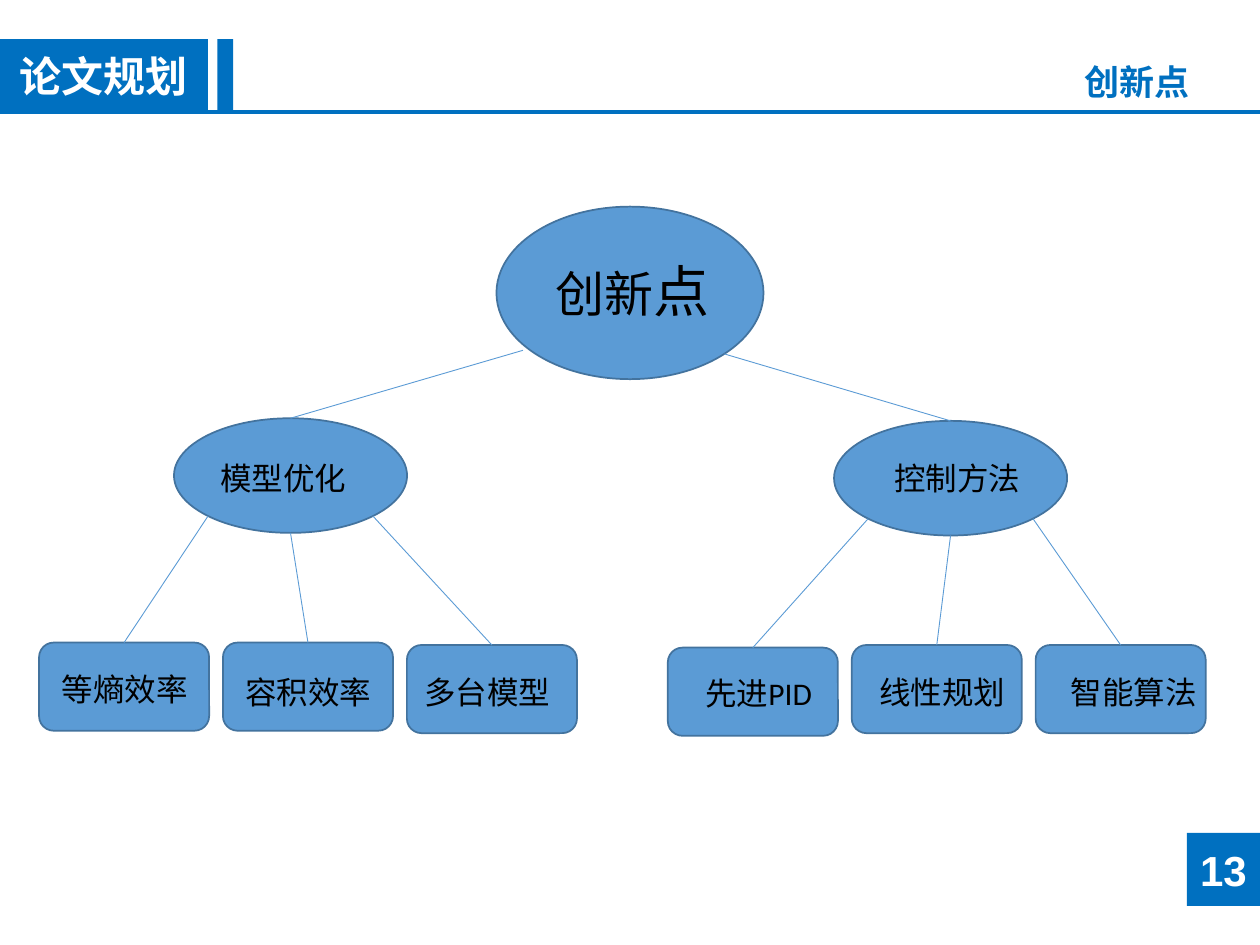
import math
from dataclasses import dataclass

import pptx
import pptx.dml.color
import pptx.enum.shapes
import pptx.enum.text
import pptx.oxml.ns
import pptx.util
from lxml import etree

Pt = pptx.util.Pt
RGB = pptx.dml.color.RGBColor.from_string
SHAPE = pptx.enum.shapes.MSO_SHAPE
ALIGN = pptx.enum.text.PP_ALIGN
ANCHOR = pptx.enum.text.MSO_ANCHOR


@dataclass(frozen=True)
class Theme:
    brand: str = "0070C0"
    node: str = "5B9BD5"
    outline: str = "43739E"
    ink: str = "000000"
    paper: str = "FFFFFF"
    heading_font: str = "Arial"
    body_font: str = "Calibri"
    banner_size: int = 24
    title_size: int = 20
    core_size: int = 28
    core_accent_size: int = 32
    label_size: int = 18


THEME = Theme()
BANNER_TEXT = {"name": THEME.heading_font, "size": Pt(THEME.banner_size), "bold": True}
TITLE_TEXT = {"name": THEME.heading_font, "size": Pt(THEME.title_size), "bold": True}
LABEL_TEXT = {"name": THEME.body_font, "size": Pt(THEME.label_size), "bold": False}

BRANCH_SIZE = (133.2, 65.5)
LEAF_SIZE = (97.2, 50.4)
LEAF_STEP = 105.1
# Each branch: text, node corner, label corner, first leaf's left, leaves
# Each leaf: text, top, label corner
BRANCHES = [
    ("模型优化", (99.4, 239), (118.8, 258.5), 22.3, [
        ("等熵效率", 367.2, (28.1, 379.4)),
        ("容积效率", 367.2, (133.2, 380.9)),
        ("多台模型", 368.6, (235.4, 380.9)),
    ]),
    ("控制方法", (476.6, 240.5), (504, 258.5), 381.6, [
        ("先进PID", 370.1, (396, 381.6)),
        ("线性规划", 368.6, (495.4, 380.9)),
        ("智能算法", 368.6, (604.8, 380.9)),
    ]),
]
CORE = (283.7, 118.1, 152.6, 98.6)
CORE_LEFT_EXIT = (298.8, 200.2)


def write(paragraph, text, text_format, color):
    run = paragraph.add_run()
    run.text = text
    for attribute, value in text_format.items():
        setattr(run.font, attribute, value)
    run.font.color.rgb = RGB(color)


def add_block(slide, kind, box, fill, outline=None):
    block = slide.shapes.add_shape(kind, *map(Pt, box))
    block.shadow.inherit = False
    block.fill.solid()
    block.fill.fore_color.rgb = RGB(fill)
    if outline:
        block.line.color.rgb = RGB(outline)
        block.line.width = Pt(1)
    else:
        block.line.fill.background()
    return block


def add_banner(slide, box, text=""):
    banner = add_block(slide, SHAPE.RECTANGLE, box, THEME.brand)
    if text:
        frame = banner.text_frame
        frame.word_wrap = False
        frame.vertical_anchor = ANCHOR.MIDDLE
        frame.paragraphs[0].alignment = ALIGN.CENTER
        write(frame.paragraphs[0], text, BANNER_TEXT, THEME.paper)


def add_label(slide, box, *pieces):
    frame = slide.shapes.add_textbox(*map(Pt, box)).text_frame
    frame.word_wrap = True
    for text, size in pieces:
        write(frame.paragraphs[0], text, {**LABEL_TEXT, "size": Pt(size)}, THEME.ink)


def add_link(slide, start, end, color=THEME.node, width=0.5):
    link = slide.shapes.add_connector(
        pptx.enum.shapes.MSO_CONNECTOR.STRAIGHT, *map(Pt, (*start, *end)))
    link.line.color.rgb = RGB(color)
    link.line.width = Pt(width)
    etree.SubElement(link._element.spPr, pptx.oxml.ns.qn("a:effectLst"))


def rim_point(box, degrees):
    """Point on an ellipse, measured clockwise from its right end."""
    left, top, width, height = box
    angle = math.radians(degrees)
    return (left + width / 2 * (1 + math.cos(angle)),
            top + height / 2 * (1 + math.sin(angle)))


def top_center(box):
    return box[0] + box[2] / 2, box[1]


def set_title(slide, text):
    title = slide.shapes.title
    box = {"left": 400.3, "top": 31, "width": 286.6, "height": 31.7}
    for attribute, value in box.items():
        setattr(title, attribute, Pt(value))
    frame = title.text_frame
    frame.auto_size = pptx.enum.text.MSO_AUTO_SIZE.NONE
    frame.vertical_anchor = ANCHOR.TOP
    frame.paragraphs[0].alignment = ALIGN.RIGHT
    write(frame.paragraphs[0], text, TITLE_TEXT, THEME.brand)


def add_branch(slide, core_exit, text, corner, label_corner, leaf_left, leaves):
    branch = (*corner, *BRANCH_SIZE)
    add_block(slide, SHAPE.OVAL, branch, THEME.node, THEME.outline)
    add_label(slide, (*label_corner, 96.5, 28.8), (text, THEME.label_size))
    add_link(slide, core_exit, top_center(branch))
    for index, (leaf_text, top, leaf_label) in enumerate(leaves):
        leaf = (leaf_left + index * LEAF_STEP, top, *LEAF_SIZE)
        add_block(slide, SHAPE.ROUNDED_RECTANGLE, leaf, THEME.node, THEME.outline)
        add_label(slide, (*leaf_label, 90.7, 28.8), (leaf_text, THEME.label_size))
        add_link(slide, rim_point(branch, 135 - 45 * index), top_center(leaf))


def main():
    deck = pptx.Presentation()
    deck.slide_width, deck.slide_height = Pt(720), Pt(540)
    slide = deck.slides.add_slide(deck.slide_layouts.get_by_name("Title Only"))

    # Header
    add_banner(slide, (0, 22.3, 118.8, 41.8), "论文规划")
    add_banner(slide, (124.3, 22.3, 8.9, 41.8))
    add_link(slide, (0, 64), (720, 64), THEME.brand, 2)
    set_title(slide, "创新点")

    # Tree: core idea, its branches and their leaves
    add_block(slide, SHAPE.OVAL, CORE, THEME.node, THEME.outline)
    add_label(slide, (310.3, 143.3, 126, 46),
              ("创新", THEME.core_size), ("点", THEME.core_accent_size))
    core_exits = [CORE_LEFT_EXIT, rim_point(CORE, 45)]
    for core_exit, branch in zip(core_exits, BRANCHES):
        add_branch(slide, core_exit, *branch)

    # Page number
    add_banner(slide, (678.2, 475.9, 41.8, 41.8), "13")

    deck.save("out.pptx")


if __name__ == "__main__":
    main()
